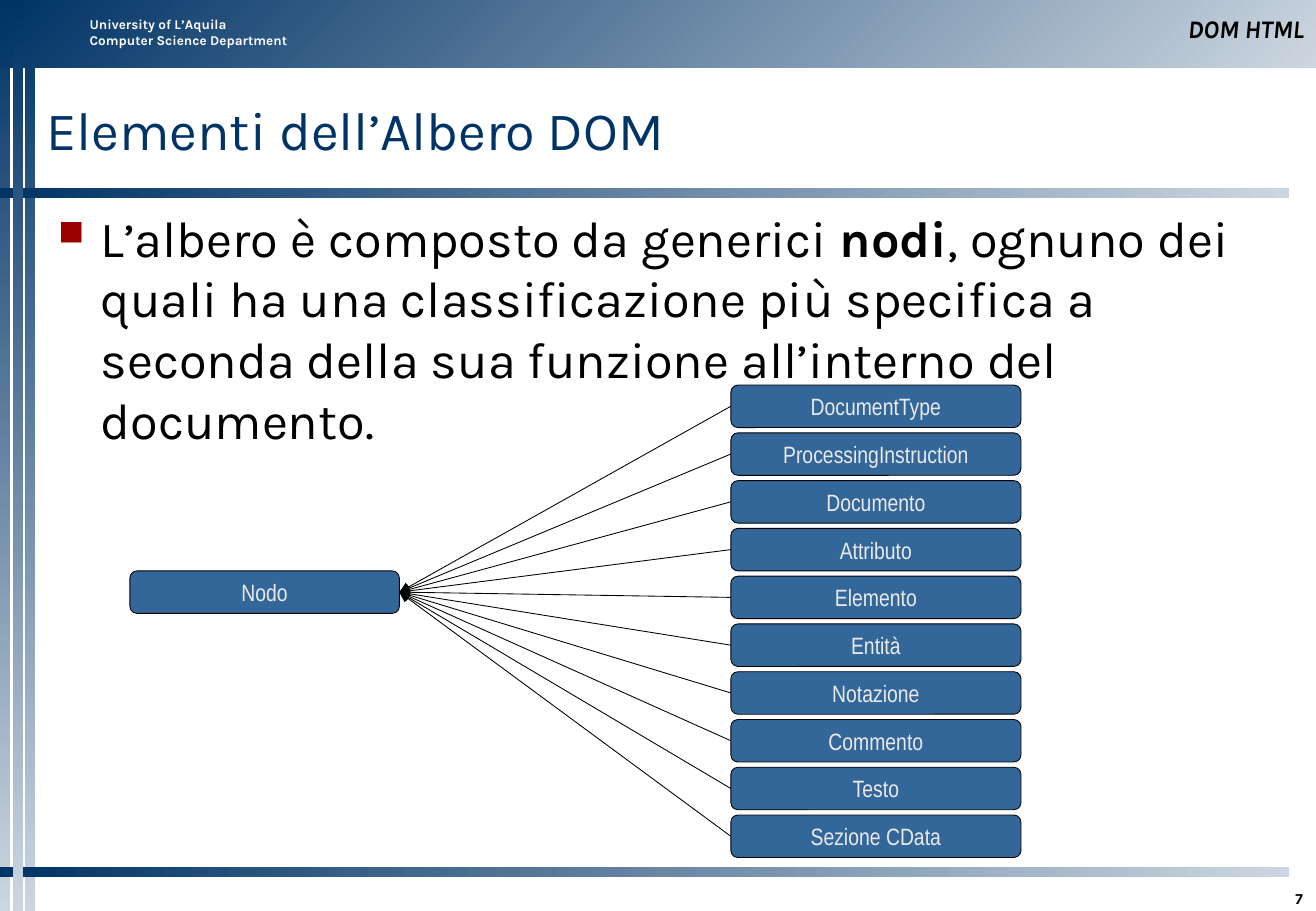
from lxml.etree import SubElement as Sub
from pptx import Presentation
from pptx.dml.color import RGBColor
from pptx.enum.shapes import MSO_CONNECTOR as Conn, MSO_SHAPE as Kind
from pptx.enum.text import MSO_ANCHOR as Anchor, PP_ALIGN as Align
from pptx.oxml.ns import qn
from pptx.util import Inches, Pt

NAVY, PALE, BLUE = "003366", "CCD6E0", "336699"
BLACK, WHITE, GREY, RED = "000000", "FFFFFF", "EAEAEA", "9A0000"
NODES = ["DocumentType", "ProcessingInstruction", "Documento", "Attributo",
         "Elemento", "Entità", "Notazione", "Commento", "Testo", "Sezione CData"]
BODY = [
    ("L’albero è composto da generici ", False),
    ("nodi", True),
    (", ognuno dei quali ha una classificazione più specifica a seconda "
     "della sua funzione all’interno del documento.", False),
]


def color(code):
    return RGBColor.from_string(code)


def style(run, size, code, face="Karla", bold=False, italic=False):
    font = run.font
    font.size, font.name = Pt(size), face
    font.bold, font.italic = bold, italic
    font.color.rgb = color(code)


def band(slide, x, y, w, h, angle):
    bar = slide.shapes.add_shape(Kind.RECTANGLE, Inches(x), Inches(y), Inches(w), Inches(h))
    bar.shadow.inherit = False
    bar.line.fill.background()
    bar.fill.gradient()
    bar.fill.gradient_angle = angle
    for stop, code in zip(bar.fill.gradient_stops, (NAVY, PALE)):
        stop.color.rgb = color(code)


def frame(slide, x, y, w, h, pads, anchor=Anchor.TOP):
    box = slide.shapes.add_textbox(Inches(x), Inches(y), Inches(w), Inches(h))
    text = box.text_frame
    text.word_wrap = True
    text.vertical_anchor = anchor
    side, top, base = pads
    text.margin_left = text.margin_right = Inches(side)
    text.margin_top, text.margin_bottom = Inches(top), Inches(base)
    return text


def label(text, words, size, code, align=Align.LEFT, **looks):
    text.text = words
    for para in text.paragraphs:
        para.alignment = align
        for run in para.runs:
            style(run, size, code, **looks)


def bullet(para):
    props = para._p.get_or_add_pPr()
    props.set("marL", str(Inches(0.35)))
    props.set("indent", str(-Inches(0.35)))
    Sub(Sub(props, qn("a:buClr")), qn("a:srgbClr"), val=RED)
    Sub(props, qn("a:buSzPct"), val="70000")
    Sub(props, qn("a:buChar"), char="■")


def node(slide, words, x, y, w):
    box = slide.shapes.add_shape(Kind.FLOWCHART_ALTERNATE_PROCESS,
                                 Inches(x), Inches(y), Inches(w), Inches(0.35))
    box.shadow.inherit = False
    box.fill.solid()
    box.fill.fore_color.rgb = color(BLUE)
    box.line.color.rgb = color(BLACK)
    box.line.width = Pt(0.5)
    text = box.text_frame
    text.word_wrap = False
    text.vertical_anchor = Anchor.MIDDLE
    label(text, words, 14, GREY, Align.CENTER, face="Arial Narrow")
    return box


def arrow(slide, start, end):
    link = slide.shapes.add_connector(Conn.STRAIGHT, 0, 0, 0, 0)
    link.begin_connect(start, 1)
    link.end_connect(end, 3)
    link.line.color.rgb = color(BLACK)
    link.line.width = Pt(0.5)
    Sub(link.line._get_or_add_ln(), qn("a:tailEnd"), type="triangle")
    Sub(link._element.spPr, qn("a:effectLst"))


def main():
    deck = Presentation()
    deck.slide_width, deck.slide_height = Inches(10.84), Inches(7.5)
    slide = deck.slides.add_slide(deck.slide_layouts[6])

    # Gradient bands: outer stripes, header, rules, middle stripe
    for x in (0, 0.21):
        band(slide, x, 0, 0.08, 7.5, 270)
    band(slide, 0, 0, 10.84, 0.56, 315)
    for y in (1.55, 7.14):
        band(slide, 0, y, 10.62, 0.08, 0)
    band(slide, 0.11, 0, 0.08, 7.5, 270)

    # Header, title and page number
    label(frame(slide, 0.64, 0.08, 2.2, 0.37, (0.1, 0.05, 0.05)),
          "University of L’Aquila\nComputer Science Department", 8, WHITE, bold=True)
    label(frame(slide, 5.6, 0.08, 5.24, 0.33, (0.1, 0.05, 0.05), Anchor.BOTTOM),
          "DOM HTML", 15, BLACK, Align.RIGHT, bold=True, italic=True)
    label(frame(slide, 0.38, 0.58, 10.27, 0.96, (0, 0, 0), Anchor.MIDDLE),
          "Elementi dell’Albero DOM", 32, NAVY)
    label(frame(slide, 9.65, 7.22, 1.18, 0.25, (0.1, 0.05, 0), Anchor.BOTTOM),
          "7", 9, BLACK, Align.RIGHT, bold=True)

    # Body text
    para = frame(slide, 0.38, 1.7, 10.24, 5.42, (0.1, 0, 0)).paragraphs[0]
    bullet(para)
    for words, bold in BODY:
        run = para.add_run()
        run.text = words
        style(run, 30, BLACK, bold=bold)

    # Node tree
    root = node(slide, "Nodo", 1.07, 4.7, 2.22)
    step = (6.71 - 3.17) / (len(NODES) - 1)
    kinds = [node(slide, name, 6.02, 3.17 + i * step, 2.39)
             for i, name in enumerate(NODES)]
    for kind in kinds:
        arrow(slide, kind, root)

    deck.save("out.pptx")


if __name__ == "__main__":
    main()
